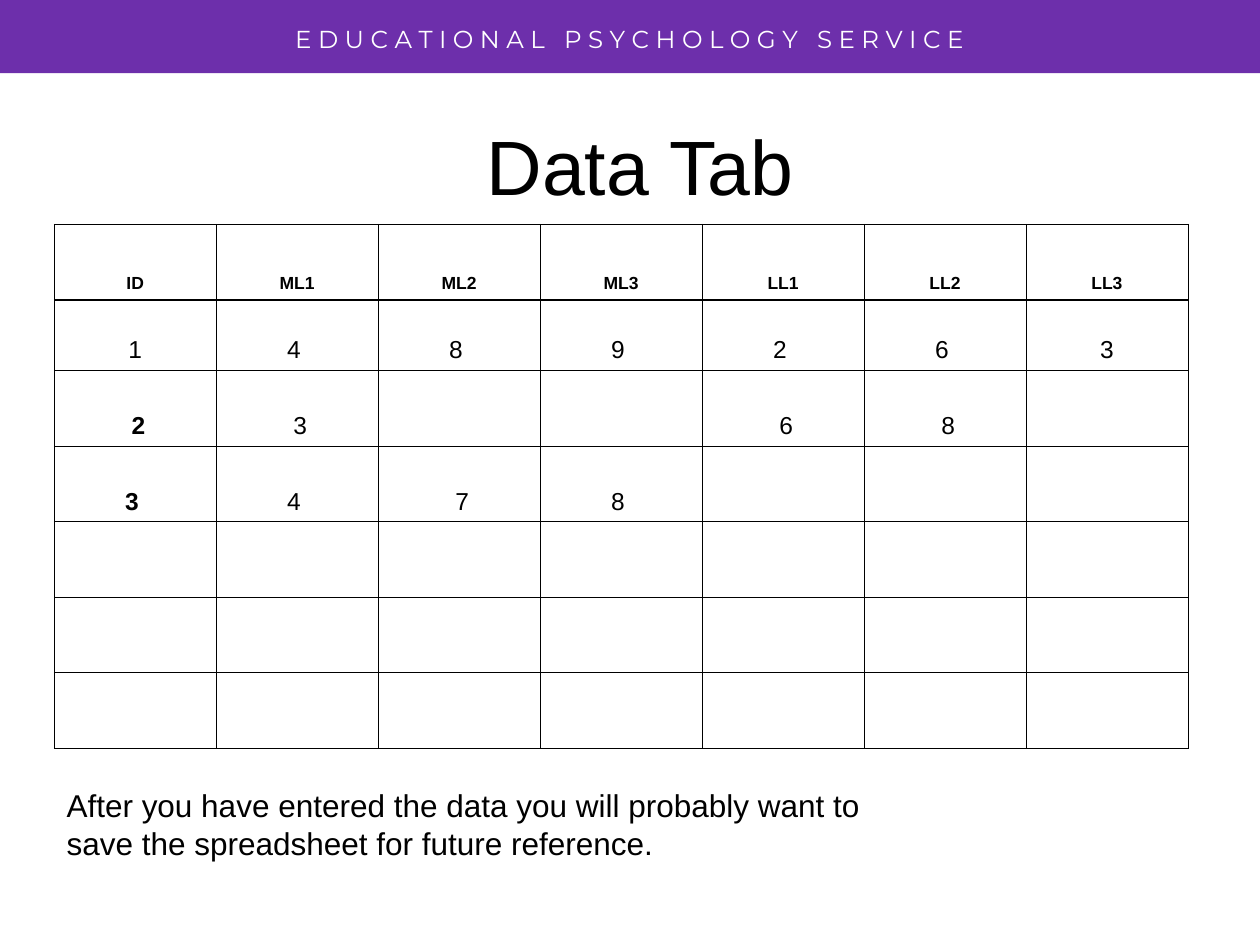
from dataclasses import dataclass

from lxml.etree import SubElement
from pptx import Presentation
from pptx.dml.color import RGBColor
from pptx.enum.shapes import MSO_SHAPE
from pptx.enum.text import MSO_ANCHOR, PP_ALIGN
from pptx.oxml.ns import qn
from pptx.util import Inches, Pt


@dataclass(frozen=True)
class Theme:
    purple: RGBColor = RGBColor(0x6D, 0x2F, 0xAB)
    black: RGBColor = RGBColor(0, 0, 0)
    white: RGBColor = RGBColor(255, 255, 255)
    banner_size: int = 14
    title_size: int = 44
    heading_size: int = 10
    data_size: int = 14
    note_size: int = 18
    thin_line: float = 0.45
    thick_line: float = 0.96


theme = Theme()


def write(frame, text, size, color=theme.black, font="Arial", bold=False, align=PP_ALIGN.CENTER):
    """Put one formatted run in the first paragraph of a text frame."""
    para = frame.paragraphs[0]
    para.alignment = align
    span = para.add_run()
    span.text = text
    span.font.name = font
    span.font.size = Pt(size)
    span.font.bold = bold
    span.font.color.rgb = color


def set_border(cell, side, width):
    line = SubElement(cell._tc.get_or_add_tcPr(), qn(f"a:ln{side}"), w=str(Pt(width)))
    fill = SubElement(line, qn("a:solidFill"))
    SubElement(fill, qn("a:srgbClr"), val=str(theme.black))


deck = Presentation()
deck.slide_width, deck.slide_height = Inches(10), Inches(7.5)
page = deck.slides.add_slide(deck.slide_layouts[5])

# Banner: letters are spaced out, words three times as far apart
banner = page.shapes.add_shape(MSO_SHAPE.RECTANGLE, 0, 0, Inches(10), Inches(0.58))
banner.shadow.inherit = False
banner.fill.solid()
banner.fill.fore_color.rgb = theme.purple
banner.line.fill.background()

service = page.shapes.add_textbox(0, Inches(0.14), Inches(10), Inches(0.34))
service.text_frame.word_wrap = True
words = "EDUCATIONAL PSYCHOLOGY SERVICE".split()
write(service.text_frame, (" " * 3).join(" ".join(word) for word in words),
      theme.banner_size, theme.white, "Montserrat")

title = page.shapes.title
title.left, title.top = Inches(0.83), Inches(0.68)
title.width, title.height = Inches(8.5), Inches(1.25)
title.text_frame.vertical_anchor = MSO_ANCHOR.MIDDLE
write(title.text_frame, "Data Tab", theme.title_size)

# Data table: each row has its values and, per column, a nudge left (<) or right (>)
rows = [
    (["ID", "ML1", "ML2", "ML3", "LL1", "LL2", "LL3"], "======="),
    (["1", "4", "8", "9", "2", "6", "3"], "=<<<<<="),
    (["2", "3", "", "", "6", "8", ""], ">>==>>="),
    (["3", "4", "7", "8", "", "", ""], "<<><==="),
] + [([""] * 7, "=======")] * 3
margin, nudge = Inches(0.1), Inches(0.05)

table = page.shapes.add_table(len(rows), 7, Inches(0.43), Inches(1.78), Inches(9), Inches(4.17)).table
table.first_row = table.horz_banding = False
for row in table.rows:
    row.height = Inches(0.6)
table.rows[1].height = Inches(0.56)

for r, (values, nudges) in enumerate(rows):
    for c, (value, direction) in enumerate(zip(values, nudges)):
        cell = table.cell(r, c)
        cell.vertical_anchor = MSO_ANCHOR.BOTTOM
        cell.margin_left = margin + nudge * (direction == ">")
        cell.margin_right = margin + nudge * (direction == "<")
        for side in "LRTB":
            under_heading = (r, side) in [(0, "B"), (1, "T")]
            set_border(cell, side, theme.thick_line if under_heading else theme.thin_line)
        cell.fill.background()
        if value:
            write(cell.text_frame, value, theme.data_size if r else theme.heading_size,
                  bold=r == 0 or (c == 0 and r > 1))

note = page.shapes.add_textbox(Inches(0.43), Inches(6.19), Inches(7.01), Inches(0.7))
note.text_frame.word_wrap = True
write(note.text_frame,
      "After you have entered the data you will probably want to save the spreadsheet for future reference.",
      theme.note_size, align=PP_ALIGN.LEFT)

deck.save("out.pptx")
